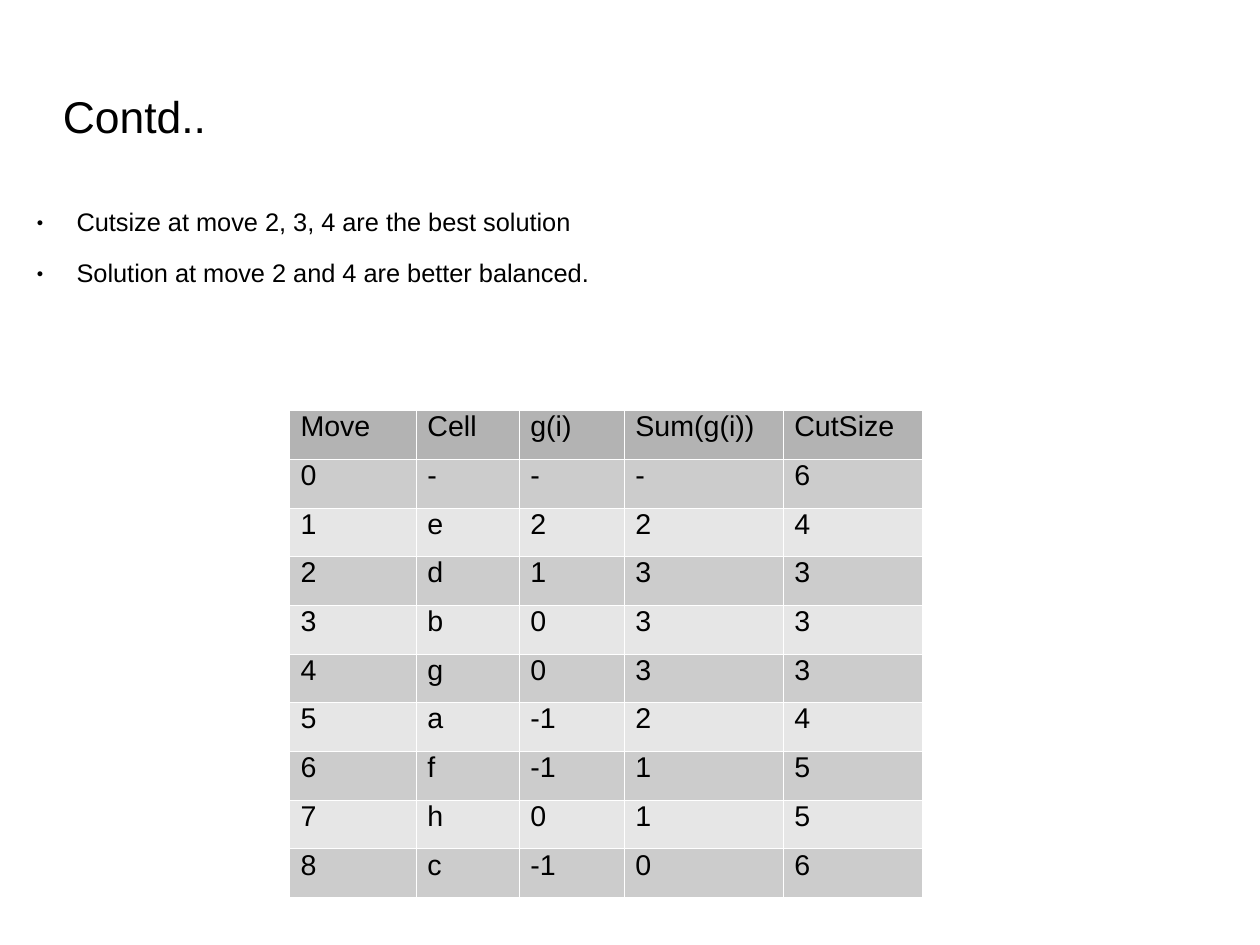
from lxml import etree
from pptx import Presentation
from pptx.dml.color import RGBColor
from pptx.enum.text import MSO_ANCHOR, PP_ALIGN
from pptx.oxml.ns import qn
from pptx.util import Inches, Pt

BULLETS = [
    "Cutsize at move 2, 3, 4 are the best solution",
    "Solution at move 2 and 4 are better balanced.",
]
MOVES = [
    ("Move", "Cell", "g(i)", "Sum(g(i))", "CutSize"),
    ("0", "-", "-", "-", "6"),
    ("1", "e", "2", "2", "4"),
    ("2", "d", "1", "3", "3"),
    ("3", "b", "0", "3", "3"),
    ("4", "g", "0", "3", "3"),
    ("5", "a", "-1", "2", "4"),
    ("6", "f", "-1", "1", "5"),
    ("7", "h", "0", "1", "5"),
    ("8", "c", "-1", "0", "6"),
]
COLUMN_WIDTHS = [1.11, 0.9, 0.92, 1.39, 1.22]
HEADER_FILL, ODD_FILL, EVEN_FILL = "B3B3B3", "CCCCCC", "E6E6E6"


def color(hex_value):
    return RGBColor.from_string(hex_value)


def style(paragraph, size, line_spacing):
    paragraph.alignment = PP_ALIGN.LEFT
    paragraph.line_spacing = line_spacing
    paragraph.font.name = "Arial"
    paragraph.font.size = Pt(size)
    paragraph.font.bold = False
    paragraph.font.color.rgb = color("000000")


# A page of 28 by 21 cm, without the template's 4:3 screen label
prs = Presentation()
prs.slide_width, prs.slide_height = Inches(28 / 2.54), Inches(21 / 2.54)
prs.element.find(qn("p:sldSz")).attrib.pop("type", None)
slide = prs.slides.add_slide(prs.slide_layouts[5])

# Title
title = slide.shapes.title
title.left, title.top = Inches(0.55), Inches(0.63)
title.width, title.height = Inches(7.87), Inches(0.79)
heading = title.text_frame
heading.text = "Contd.."
heading.vertical_anchor = MSO_ANCHOR.MIDDLE
heading.margin_left = heading.margin_right = heading.margin_bottom = 0
heading.margin_top = Inches(0.03)
style(heading.paragraphs[0], 28, 0.93)

# Conclusions
conclusions = slide.shapes.add_textbox(
    Inches(0.2), Inches(1.81), Inches(9.92), Inches(4.8)).text_frame
conclusions.word_wrap = True
conclusions.margin_left = conclusions.margin_right = conclusions.margin_bottom = 0
conclusions.margin_top = Inches(0.02)
conclusions.text = "\n".join(BULLETS)
for paragraph in conclusions.paragraphs:
    style(paragraph, 16, 0.93)
    paragraph.space_after = Pt(14.3)
    properties = paragraph._p.get_or_add_pPr()
    properties.set("marL", str(Inches(0.47)))
    properties.set("indent", str(Inches(-0.35)))
    bullet_color = etree.SubElement(properties, qn("a:buClr"))
    etree.SubElement(bullet_color, qn("a:srgbClr"), val="000000")
    etree.SubElement(properties, qn("a:buSzPct"), val="45000")
    etree.SubElement(properties, qn("a:buFont"), typeface="Arial")
    etree.SubElement(properties, qn("a:buChar"), char="●")

# Table of moves
moves = slide.shapes.add_table(
    len(MOVES), len(COLUMN_WIDTHS),
    Inches(2.53), Inches(3.59), Inches(sum(COLUMN_WIDTHS)), Inches(4.26)).table
for column, width in zip(moves.columns, COLUMN_WIDTHS):
    column.width = Inches(width)

for row, values in enumerate(MOVES):
    row_fill = HEADER_FILL if row == 0 else ODD_FILL if row % 2 else EVEN_FILL
    for col, value in enumerate(values):
        cell = moves.cell(row, col)
        cell.text = value
        cell.vertical_anchor = MSO_ANCHOR.TOP
        style(cell.text_frame.paragraphs[0], 18, 0.81)
        cell_properties = cell._tc.get_or_add_tcPr()
        for side in ("a:lnL", "a:lnR", "a:lnT", "a:lnB"):
            border = etree.SubElement(cell_properties, qn(side), w=str(Pt(0.06)))
            border_fill = etree.SubElement(border, qn("a:solidFill"))
            etree.SubElement(border_fill, qn("a:srgbClr"), val="FFFFFF")
        cell.fill.solid()
        cell.fill.fore_color.rgb = color(row_fill)

prs.save("out.pptx")
